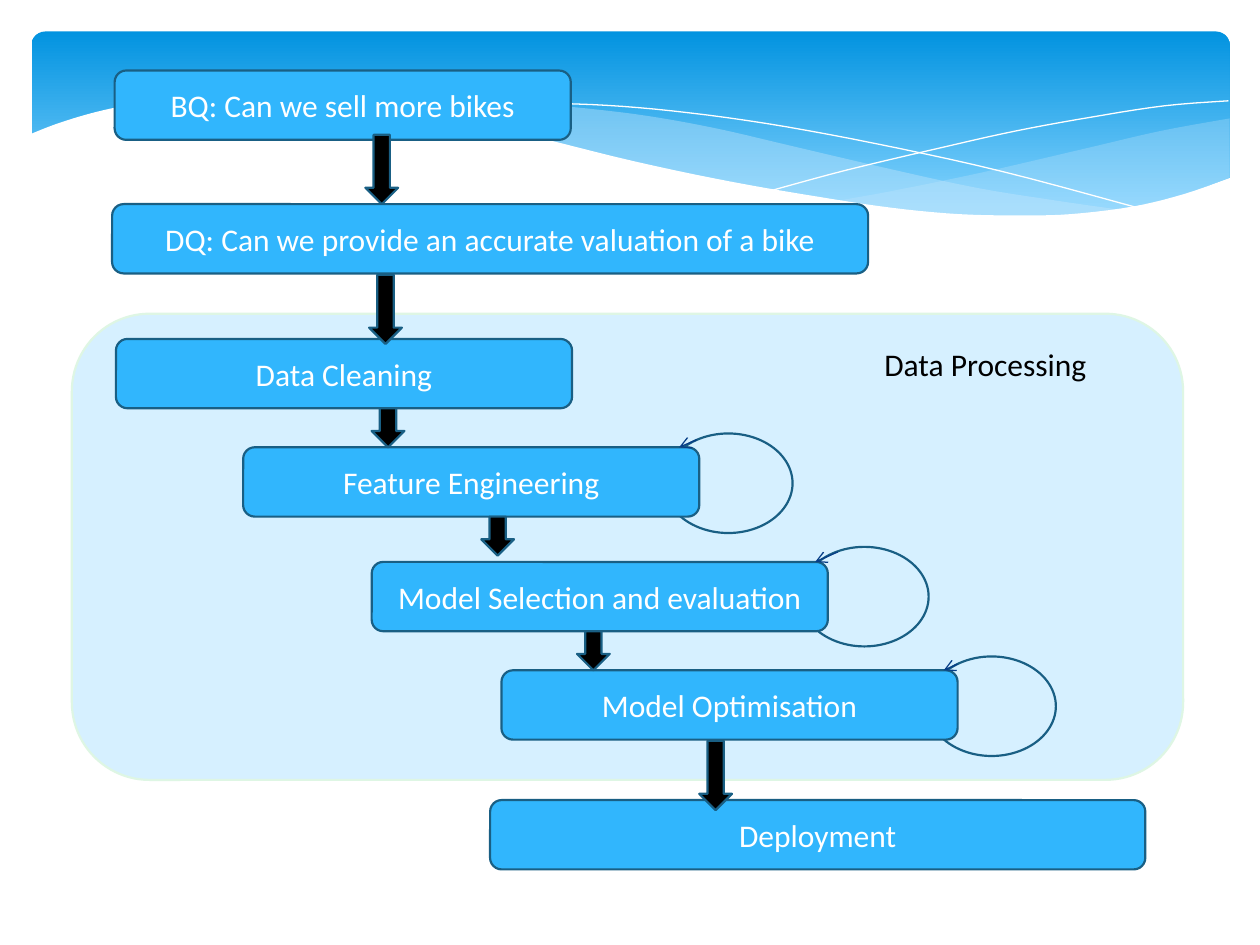
import pptx
import pptx.util
import pptx.oxml
from lxml import etree
from pptx.dml.color import RGBColor
from pptx.enum.shapes import MSO_CONNECTOR, MSO_SHAPE
from pptx.enum.text import MSO_ANCHOR, PP_ALIGN
from pptx.oxml.ns import qn
from pptx.util import Inches, Pt

WHITE = RGBColor(0xFF, 0xFF, 0xFF)
BLACK = RGBColor(0, 0, 0)
SKY_TOP = RGBColor(0x02, 0x93, 0xE0)
SKY_BOTTOM = RGBColor(0x83, 0xD3, 0xFE)
RIBBON = RGBColor(0xC6, 0xE7, 0xFC)
PANEL = RGBColor(0xD6, 0xF0, 0xFF)
PANEL_EDGE = RGBColor(0xDE, 0xF6, 0xE4)
STEP = RGBColor(0x31, 0xB6, 0xFD)
EDGE = RGBColor(0x19, 0x5F, 0x84)
POINTER = RGBColor(0x07, 0x3E, 0x87)

STEP_HEIGHT = 0.55
# Text, left, top, width
STEPS = [
    ("BQ: Can we sell more bikes", 0.91, 0.56, 3.62),
    ("DQ: Can we provide an accurate valuation of a bike", 0.89, 1.62, 6),
    ("Data Cleaning", 0.92, 2.69, 3.62),
    ("Feature Engineering", 1.93, 3.55, 3.62),
    ("Model Selection and evaluation", 2.95, 4.46, 3.62),
    ("Model Optimisation", 3.98, 5.32, 3.62),
    ("Deployment", 3.89, 6.35, 5.2),
]
# Left, top, height
ARROWS = [(2.9, 1.07, 0.55), (2.93, 2.18, 0.55), (2.95, 3.24, 0.31),
          (3.82, 4.1, 0.31), (4.58, 5.01, 0.31), (5.55, 5.88, 0.55)]
# Left and top of the ellipse, start and end of its pointer
LOOPS = [((7.36, 5.21), (7.6, 5.27), (7.49, 5.32)),
         ((6.35, 4.34), (6.65, 4.38), (6.47, 4.46)),
         ((5.27, 3.44), (5.53, 3.49), (5.39, 3.55))]

RIGHT_RIBBON = [
    [(9.76, 0.94), (9.21, 1.04), (8.61, 1.18), (7.79, 1.37), (7.06, 1.52), (6.61, 1.6)],
    [(6.61, 1.6), (7.19, 1.67), (7.69, 1.71), (8.14, 1.72), (8.54, 1.7),
     (8.97, 1.65), (9.35, 1.56), (9.76, 1.41)],
]
LONG_RIBBON = [
    [(8.93, 1.67), (8.37, 1.59), (7.75, 1.49), (7.06, 1.34), (6.29, 1.16), (5.69, 1.02),
     (5.14, 0.92), (4.65, 0.86), (4.2, 0.82), (3.8, 0.8), (3.28, 0.81), (2.86, 0.86)],
    [(2.86, 0.86), (3.42, 0.94), (4.04, 1.06), (4.91, 1.26), (5.66, 1.43), (6.34, 1.56),
     (6.95, 1.65), (7.48, 1.7), (7.96, 1.73), (8.38, 1.72), (8.93, 1.67)],
]
FALLING_LINE = [[(3.09, 0.9), (3.44, 0.84), (4.01, 0.82), (4.69, 0.83), (5.33, 0.88),
                 (6.08, 0.98), (6.95, 1.14), (7.95, 1.36), (9.07, 1.66)]]
RISING_LINE = [[(6.13, 1.51), (6.72, 1.35), (7.48, 1.17), (8.06, 1.04), (8.66, 0.93),
                (9.24, 0.84), (9.75, 0.8)]]
WHITE_WAVE = [
    [(9.77, 1.41), (9.4, 1.54), (8.99, 1.64), (8.5, 1.7), (8.09, 1.71), (7.61, 1.7),
     (7.08, 1.65), (6.48, 1.56), (5.79, 1.44), (5.03, 1.28), (4.18, 1.07), (3.65, 0.96),
     (3.16, 0.88), (2.71, 0.82), (2.3, 0.79), (1.93, 0.78), (1.46, 0.79), (1.06, 0.83),
     (0.76, 0.89), (0.46, 0.98), (0.23, 1.07)],
    [(0.23, 2.24), (9.77, 2.24)],
]


def smooth_curve(knots, pieces=5):
    """Return points on a Catmull-Rom curve through the knots."""
    padded = [knots[0], *knots, knots[-1]]
    points = [knots[0]]
    for a, b, c, d in zip(padded, padded[1:], padded[2:], padded[3:]):
        for step in range(1, pieces + 1):
            t = step / pieces
            points.append(tuple(
                0.5 * (2 * q + (r - p) * t + (2 * p - 5 * q + 4 * r - s) * t ** 2
                       + (3 * q - p - 3 * r + s) * t ** 3)
                for p, q, r, s in zip(a, b, c, d)))
    return points


def add_wave(page, curves, fill=None, opacity=100):
    """Add a filled wave, or an open white hairline when there is no fill."""
    points = [(Inches(x), Inches(y))
              for knots in curves
              for x, y in (smooth_curve(knots) if len(knots) > 2 else knots)]
    builder = page.shapes.build_freeform(*points[0])
    builder.add_line_segments(points[1:], close=fill is not None)
    wave = builder.convert_to_shape()
    wave.shadow.inherit = False
    if fill is None:
        wave.fill.background()
        wave.line.color.rgb = WHITE
        wave.line.width = Pt(0)
        return
    wave.fill.solid()
    wave.fill.fore_color.rgb = fill
    wave.line.fill.background()
    if opacity < 100:
        color = wave.element.spPr.find(".//" + qn("a:srgbClr"))
        etree.SubElement(color, qn("a:alpha"), val=str(opacity * 1000))


def add_box(page, kind, left, top, width, height, fill=None, edge=EDGE):
    box = page.shapes.add_shape(kind, Inches(left), Inches(top), Inches(width), Inches(height))
    box.shadow.inherit = False
    if fill is None:
        box.fill.background()
    else:
        box.fill.solid()
        box.fill.fore_color.rgb = fill
    box.line.color.rgb = edge
    box.line.width = Pt(1.25)
    return box


def write_text(box, text, color):
    para = box.text_frame.paragraphs[0]
    para.text = text
    font = para.runs[0].font
    font.name, font.size, font.color.rgb = "Calibri", Pt(18), color
    return para


def add_header(page, left, top, width, height):
    banner = add_box(page, MSO_SHAPE.ROUNDED_RECTANGLE, left, top, width, height, SKY_TOP)
    banner.adjustments[0] = 0.07
    banner.line.fill.background()
    banner.fill.gradient()
    banner.fill.gradient_angle = 270
    for stop, position, color in zip(banner.fill.gradient_stops, (0, 0.9), (SKY_TOP, SKY_BOTTOM)):
        stop.position = position
        stop.color.rgb = color
    add_wave(page, RIGHT_RIBBON, RIBBON, 29)
    add_wave(page, LONG_RIBBON, RIBBON, 40)
    add_wave(page, FALLING_LINE)
    add_wave(page, RISING_LINE)
    add_wave(page, WHITE_WAVE, WHITE)


def add_step(page, text, left, top, width):
    box = add_box(page, MSO_SHAPE.ROUNDED_RECTANGLE, left, top, width, STEP_HEIGHT, STEP)
    box.text_frame.vertical_anchor = MSO_ANCHOR.MIDDLE
    write_text(box, text, WHITE).alignment = PP_ALIGN.CENTER


def add_pointer(page, start, end):
    pointer = page.shapes.add_connector(
        MSO_CONNECTOR.STRAIGHT, *(Inches(value) for value in start + end))
    pointer.line.color.rgb = POINTER
    pointer.line.width = Pt(0.75)
    properties = pointer.element.spPr
    etree.SubElement(properties.find(qn("a:ln")), qn("a:tailEnd"), type="arrow")
    etree.SubElement(properties, qn("a:effectLst"))


def add_label(page, text, left, top, width, height):
    label = page.shapes.add_textbox(Inches(left), Inches(top), Inches(width), Inches(height))
    label.text_frame.word_wrap = False
    write_text(label, text, BLACK)


def add_process(page, left, top, width, height):
    """Add the panel, then the loops, steps and arrows over it."""
    add_box(page, MSO_SHAPE.ROUNDED_RECTANGLE, left, top, width, height, PANEL, PANEL_EDGE)
    for corner, _, _ in LOOPS:
        add_box(page, MSO_SHAPE.OVAL, *corner, 1.02, 0.79)
    for step in STEPS:
        add_step(page, *step)
    for arrow_left, arrow_top, arrow_height in ARROWS:
        add_box(page, MSO_SHAPE.DOWN_ARROW, arrow_left, arrow_top, 0.26, arrow_height, BLACK)
    add_label(page, "Data Processing", left + 6.35, top + 0.2, 1.91, 0.4)
    for _, start, end in reversed(LOOPS):
        add_pointer(page, start, end)


def main():
    deck = pptx.Presentation()
    deck.slide_width, deck.slide_height = Inches(10), Inches(7.5)
    page = deck.slides.add_slide(deck.slide_layouts[6])
    add_header(page, 0.25, 0.25, 9.51, 1.56)
    add_process(page, 0.57, 2.49, 8.82, 3.7)
    deck.save("out.pptx")


if __name__ == "__main__":
    main()
